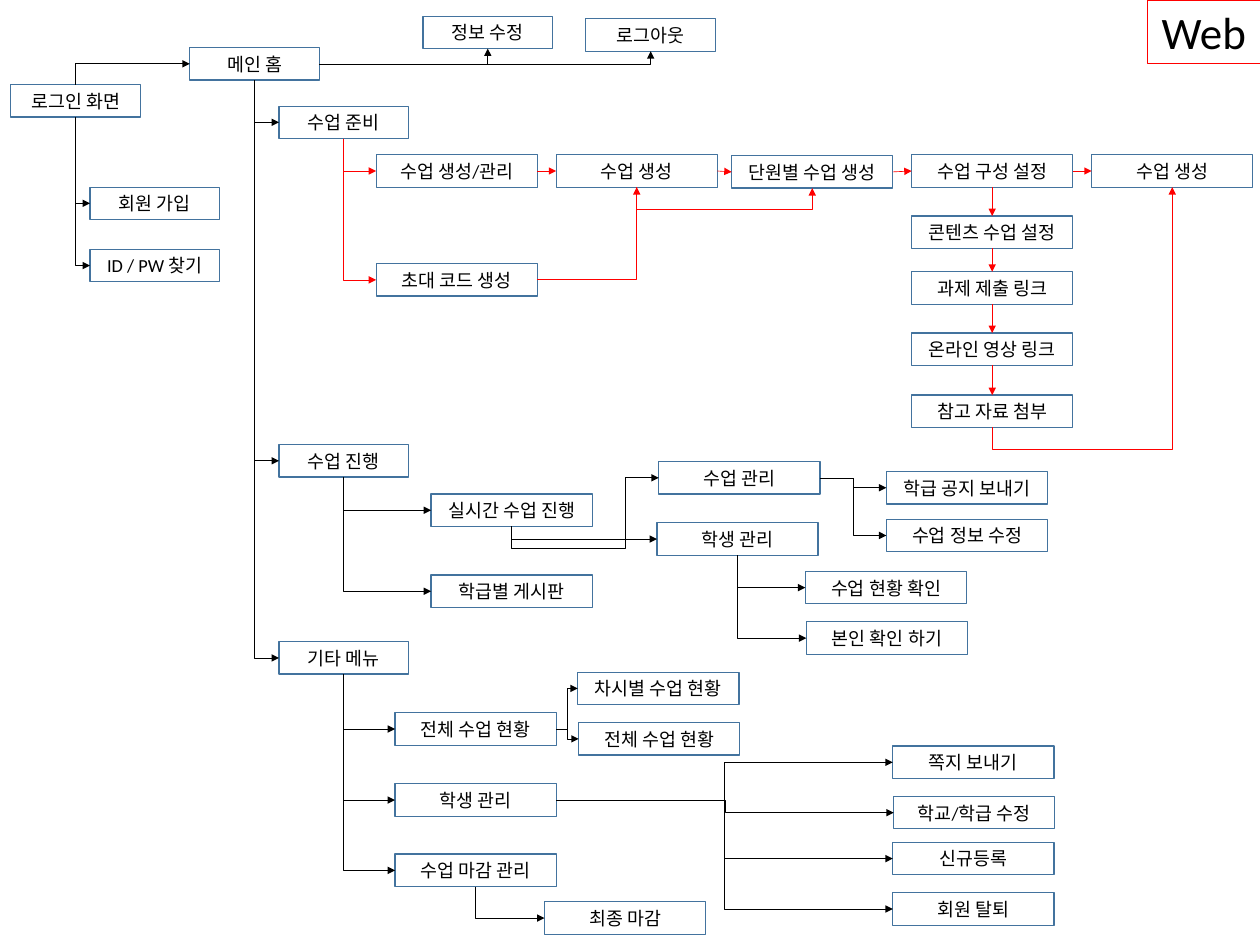
import pptx
import pptx.util
import pptx.dml.color
import pptx.enum.shapes
import pptx.enum.text
import pptx.oxml.ns
from lxml import etree

Inches = pptx.util.Inches
Pt = pptx.util.Pt
qn = pptx.oxml.ns.qn

COLORS = {"text": "000000", "box": "43739E", "flow": "000000", "class": "FF0000"}
FONT = "Calibri"
BOX_HEIGHT = 0.36
TOP, LEFT, BOTTOM, RIGHT = range(4)

# Boxes by width: name, left, top, label
BOXES = {
    1.44: [
        ("login", 0.12, 0.94, "로그인 화면"),
        ("home", 2.11, 0.53, "메인 홈"),
        ("join", 1, 2.08, "회원 가입"),
        ("find", 1, 2.77, "ID / PW 찾기"),
        ("profile", 4.7, 0.18, "정보 수정"),
        ("logout", 6.51, 0.21, "로그아웃"),
        ("prepare", 3.1, 1.18, "수업 준비"),
        ("progress", 3.1, 4.94, "수업 진행"),
        ("other", 3.1, 7.13, "기타 메뉴"),
    ],
    1.79: [
        ("manage", 4.18, 1.72, "수업 생성/관리"),
        ("invite", 4.18, 2.93, "초대 코드 생성"),
        ("create", 6.18, 1.72, "수업 생성"),
        ("unit", 8.13, 1.73, "단원별 수업 생성"),
        ("setup", 10.13, 1.72, "수업 구성 설정"),
        ("created", 12.13, 1.72, "수업 생성"),
        ("content", 10.13, 2.4, "콘텐츠 수업 설정"),
        ("homework", 10.13, 3.02, "과제 제출 링크"),
        ("video", 10.13, 3.7, "온라인 영상 링크"),
        ("reference", 10.13, 4.39, "참고 자료 첨부"),
        ("live", 4.79, 5.49, "실시간 수업 진행"),
        ("board", 4.79, 6.39, "학급별 게시판"),
        ("lesson", 7.32, 5.13, "수업 관리"),
        ("pupils", 7.3, 5.81, "학생 관리"),
        ("notice", 9.85, 5.24, "학급 공지 보내기"),
        ("edit", 9.85, 5.77, "수업 정보 수정"),
        ("check", 8.95, 6.35, "수업 현황 확인"),
        ("identity", 8.96, 6.91, "본인 확인 하기"),
        ("overview", 4.39, 7.92, "전체 수업 현황"),
        ("students", 4.39, 8.71, "학생 관리"),
        ("closing", 4.39, 9.49, "수업 마감 관리"),
        ("by_session", 6.42, 7.47, "차시별 수업 현황"),
        ("all_sessions", 6.43, 8.03, "전체 수업 현황"),
        ("message", 9.92, 8.29, "쪽지 보내기"),
        ("school", 9.93, 8.85, "학교/학급 수정"),
        ("register", 9.92, 9.36, "신규등록"),
        ("leave", 9.92, 9.92, "회원 탈퇴"),
        ("final", 6.05, 10.02, "최종 마감"),
    ],
}

# Links: colour, source, exit side, targets, entry side, bend positions
LINKS = [
    ("flow", "login", TOP, ["home"], LEFT, []),
    ("flow", "login", BOTTOM, ["join", "find"], LEFT, []),
    ("flow", "home", RIGHT, ["profile", "logout"], BOTTOM, []),
    ("flow", "home", BOTTOM, ["prepare", "progress", "other"], LEFT, []),
    ("class", "prepare", BOTTOM, ["manage", "invite"], LEFT, []),
    ("class", "invite", RIGHT, ["create"], BOTTOM, []),
    ("class", "create", BOTTOM, ["unit"], BOTTOM, [25]),
    ("class", "reference", BOTTOM, ["created"], BOTTOM, [-0.09]),
    ("flow", "progress", BOTTOM, ["live", "board"], LEFT, []),
    ("flow", "live", BOTTOM, ["pupils"], LEFT, []),
    ("flow", "live", BOTTOM, ["lesson"], LEFT, [-0.46, 0.77]),
    ("flow", "lesson", RIGHT, ["notice", "edit"], LEFT, []),
    ("flow", "pupils", BOTTOM, ["check", "identity"], LEFT, []),
    ("flow", "other", BOTTOM, ["overview", "students", "closing"], LEFT, []),
    ("flow", "overview", RIGHT, ["by_session", "all_sessions"], LEFT, []),
    ("flow", "students", RIGHT, ["message", "school", "register", "leave"], LEFT, []),
    ("flow", "closing", BOTTOM, ["final"], LEFT, []),
]
# Chains of straight arrows: exit side, entry side, boxes in order
CHAINS = [
    (RIGHT, LEFT, ["manage", "create", "unit", "setup", "created"]),
    (BOTTOM, TOP, ["setup", "content", "homework", "video", "reference"]),
]


def rgb(name):
    """Return the named colour."""
    return pptx.dml.color.RGBColor.from_string(COLORS[name])


def write(shape, text, size):
    """Put one centred run of text in a shape."""
    paragraph = shape.text_frame.paragraphs[0]
    paragraph.alignment = pptx.enum.text.PP_ALIGN.CENTER
    run = paragraph.add_run()
    run.text = text
    run.font.size = Pt(size)
    run.font.name = FONT
    run.font.color.rgb = rgb("text")


def add_box(slide, left, top, width, label):
    """Add an outlined box with a label."""
    shape = slide.shapes.add_shape(
        pptx.enum.shapes.MSO_SHAPE.RECTANGLE,
        Inches(left), Inches(top), Inches(width), Inches(BOX_HEIGHT))
    shape.shadow.inherit = False
    shape.fill.background()
    shape.line.color.rgb = rgb("box")
    shape.line.width = Pt(1)
    shape.text_frame.word_wrap = True
    shape.text_frame.vertical_anchor = pptx.enum.text.MSO_ANCHOR.MIDDLE
    write(shape, label, 14.7)
    return shape


def bend(connector, vertical_start, corner, bends):
    """Give an elbow its route: turned a quarter when it starts vertically."""
    geometry = connector._element.spPr.find(qn("a:prstGeom"))
    geometry.set("prst", "bentConnector" + str(2 if corner and not bends else max(3, 2 + len(bends))))
    guides = geometry.find(qn("a:avLst"))
    for number, position in enumerate(bends, 1):
        etree.SubElement(guides, qn("a:gd"), name=f"adj{number}" if len(bends) > 1 else "adj1",
                         fmla=f"val {round(position * 100000)}")
    if not vertical_start:
        return
    across = connector.end_x - connector.begin_x
    down = connector.end_y - connector.begin_y
    center_x = (connector.begin_x + connector.end_x) // 2
    center_y = (connector.begin_y + connector.end_y) // 2
    connector.width, connector.height = abs(down), abs(across)
    connector.left = center_x - abs(down) // 2
    connector.top = center_y - abs(across) // 2
    transform = connector._element.spPr.find(qn("a:xfrm"))
    transform.set("rot", "5400000")
    transform.set("flipH", str(int(down < 0)))
    transform.set("flipV", str(int(across > 0)))


def add_arrow(slide, source, exit_side, target, entry_side, color, bends=(), straight=False):
    """Join two boxes with an arrow."""
    kinds = pptx.enum.shapes.MSO_CONNECTOR
    connector = slide.shapes.add_connector(kinds.STRAIGHT if straight else kinds.ELBOW, 0, 0, 0, 0)
    connector.begin_connect(source, exit_side)
    connector.end_connect(target, entry_side)
    if not straight:
        bend(connector, exit_side in (TOP, BOTTOM), exit_side % 2 != entry_side % 2, bends)
    connector.line.color.rgb = rgb(color)
    connector.line.width = Pt(0.5)
    line = connector.line._get_or_add_ln()
    etree.SubElement(line, qn("a:tailEnd"), type="triangle")
    etree.SubElement(connector._element.spPr, qn("a:effectLst"))


presentation = pptx.Presentation()
presentation.slide_width = Inches(14)
presentation.slide_height = Inches(10.5)
slide = presentation.slides.add_slide(presentation.slide_layouts[6])

boxes = {name: add_box(slide, left, top, width, label)
         for width, rows in BOXES.items() for name, left, top, label in rows}

for color, source, exit_side, targets, entry_side, bends in LINKS:
    for target in targets:
        add_arrow(slide, boxes[source], exit_side, boxes[target], entry_side, color, bends)

for exit_side, entry_side, names in CHAINS:
    for source, target in zip(names, names[1:]):
        add_arrow(slide, boxes[source], exit_side, boxes[target], entry_side, "class", straight=True)

title = slide.shapes.add_textbox(Inches(12.75), Inches(0), Inches(1.25), Inches(0.71))
title.text_frame.word_wrap = True
title.text_frame.auto_size = pptx.enum.text.MSO_AUTO_SIZE.SHAPE_TO_FIT_TEXT
title.line.color.rgb = rgb("class")
title.line.width = Pt(0.75)
write(title, "Web", 36)

presentation.save("out.pptx")
